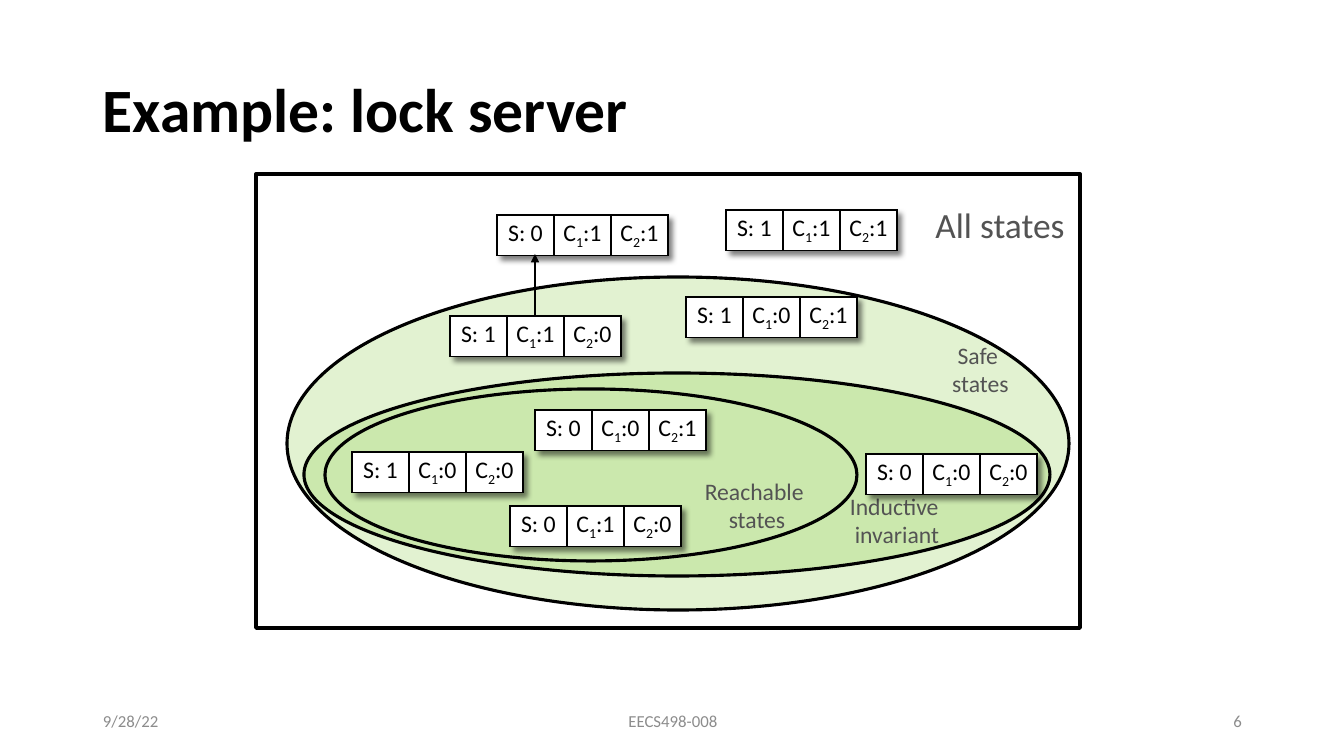
from lxml.etree import SubElement
from pptx import Presentation
from pptx.dml.color import RGBColor
from pptx.enum.shapes import MSO_CONNECTOR as CONN, MSO_SHAPE as SHAPE
from pptx.enum.text import MSO_ANCHOR as ANCHOR, PP_ALIGN as ALIGN
from pptx.oxml import parse_xml
from pptx.oxml.ns import nsdecls, qn
from pptx.util import Emu, Pt

BLACK = RGBColor(0x00, 0x00, 0x00)
WHITE = RGBColor(0xFF, 0xFF, 0xFF)
GREEN = RGBColor(0x92, 0xD0, 0x50)
LABEL = RGBColor(0x53, 0x53, 0x53)
FOOTER = RGBColor(0x8C, 0x8C, 0x8C)
FONT = "Calibri"
PX_PER_INCH = 100.8
CELL_W, CELL_H = 57, 39

SHADOW = (
    f'<a:effectLst {nsdecls("a")}><a:outerShdw blurRad="50800" dist="50800" '
    'dir="2700000" algn="tl" rotWithShape="0"><a:srgbClr val="000000">'
    '<a:alpha val="50000"/></a:srgbClr></a:outerShdw></a:effectLst>'
)


def px(n):
    return Emu(round(n * 914400 / PX_PER_INCH))


def write(tf, text, size=17, color=BLACK, bold=False, align=ALIGN.CENTER, spacing=None):
    for i, line in enumerate(text.split("\n")):
        p = tf.paragraphs[0] if i == 0 else tf.add_paragraph()
        p.alignment = align
        p.line_spacing = spacing
        for j, part in enumerate(line.split("_")):
            r = p.add_run()
            r.text = part
            r.font.name, r.font.size, r.font.bold = FONT, Pt(size), bold
            r.font.color.rgb = color
            if j % 2:
                r.font._element.set("baseline", "-25000")


def set_margins(box, x, y):
    box.margin_left = box.margin_right = px(x)
    box.margin_top = box.margin_bottom = px(y)


class StateDiagram:
    """Draws the sets, states and labels of a state space on one slide."""

    def __init__(self, prs):
        self.s = prs.slides.add_slide(prs.slide_layouts[6])

    def outline(self, kind, x, y, w, h, weight=2.25, opacity=0):
        sp = self.s.shapes.add_shape(kind, px(x), px(y), px(w), px(h))
        sp.shadow.inherit = False
        sp.line.color.rgb = BLACK
        sp.line.width = Pt(weight)
        if opacity:
            sp.fill.solid()
            sp.fill.fore_color.rgb = GREEN
            clr = sp._element.spPr.find(qn("a:solidFill"))[0]
            SubElement(clr, qn("a:alpha"), val=str(opacity * 1000))
        else:
            sp.fill.background()

    def text(self, text, x, y, w, h, inset=(4, 4), wrap=True, **style):
        tf = self.s.shapes.add_textbox(px(x), px(y), px(w), px(h)).text_frame
        tf.word_wrap = wrap
        tf.vertical_anchor = ANCHOR.MIDDLE
        set_margins(tf, *inset)
        write(tf, text, **style)

    def state(self, x, y, server, client1, client2):
        texts = f"S: {server}", f"C_1_:{client1}", f"C_2_:{client2}"
        frame = self.s.shapes.add_table(
            1, len(texts), px(x), px(y), px(CELL_W * len(texts)), px(CELL_H))
        table = frame.table
        table.first_row = table.horz_banding = False
        table._tbl.tblPr.insert(0, parse_xml(SHADOW))
        table.rows[0].height = px(CELL_H)
        for i, text in enumerate(texts):
            table.columns[i].width = px(CELL_W)
            cell = table.cell(0, i)
            set_margins(cell, 7, 4)
            self.border(cell)
            cell.fill.solid()
            cell.fill.fore_color.rgb = WHITE
            write(cell.text_frame, text)

    def border(self, cell):
        tc_pr = cell._tc.get_or_add_tcPr()
        for side in "LRTB":
            ln = SubElement(tc_pr, qn(f"a:ln{side}"), w=str(Pt(1)))
            fill = SubElement(ln, qn("a:solidFill"))
            SubElement(fill, qn("a:srgbClr"), val=str(BLACK))

    def arrow(self, x1, y1, x2, y2):
        c = self.s.shapes.add_connector(CONN.STRAIGHT, px(x1), px(y1), px(x2), px(y2))
        c.line.color.rgb = BLACK
        c.line.width = Pt(2)
        SubElement(c.line._get_or_add_ln(), qn("a:tailEnd"), type="triangle")
        SubElement(c._element.spPr, qn("a:effectLst"))


def main():
    prs = Presentation()
    prs.slide_width, prs.slide_height = px(1344), px(756)
    d = StateDiagram(prs)

    d.outline(SHAPE.RECTANGLE, 256, 174, 824, 454, weight=2.75)
    for ellipse, opacity, label, box in (
        ((287, 277, 782, 333), 26, "Safe \nstates", (929, 335, 103, 68)),
        ((304, 373, 746, 203), 28, "Inductive \ninvariant", (700, 487, 394, 66)),
        ((325, 389, 532, 172), 0, "Reachable \nstates", (629, 472, 256, 66)),
    ):
        d.outline(SHAPE.OVAL, *ellipse, opacity=opacity)
        d.text(label, *box, size=16.9, color=LABEL)
    d.text("All states", 931, 199, 138, 50, wrap=False, size=25.3, color=LABEL)

    d.text("Example: lock server", 93, 40, 1159, 146, inset=(10, 5),
           size=44, bold=True, align=ALIGN.LEFT, spacing=0.9)
    for text, x, w, align in (
        ("9/28/22", 93, 302, ALIGN.LEFT),
        ("EECS498-008", 446, 454, ALIGN.CENTER),
        ("6", 950, 302, ALIGN.RIGHT),
    ):
        d.text(text, x, 701, w, 40, inset=(10, 5), size=12, color=FOOTER, align=align)

    for state in (
        (352, 452, 1, 0, 0),
        (510, 506, 0, 1, 0),
        (535, 410, 0, 0, 1),
        (866, 454, 0, 0, 0),
        (450, 316, 1, 1, 0),
        (686, 297, 1, 0, 1),
        (497, 215, 0, 1, 1),
        (726, 210, 1, 1, 1),
    ):
        d.state(*state)
    d.arrow(535, 316, 535, 254)

    prs.save("out.pptx")


if __name__ == "__main__":
    main()
